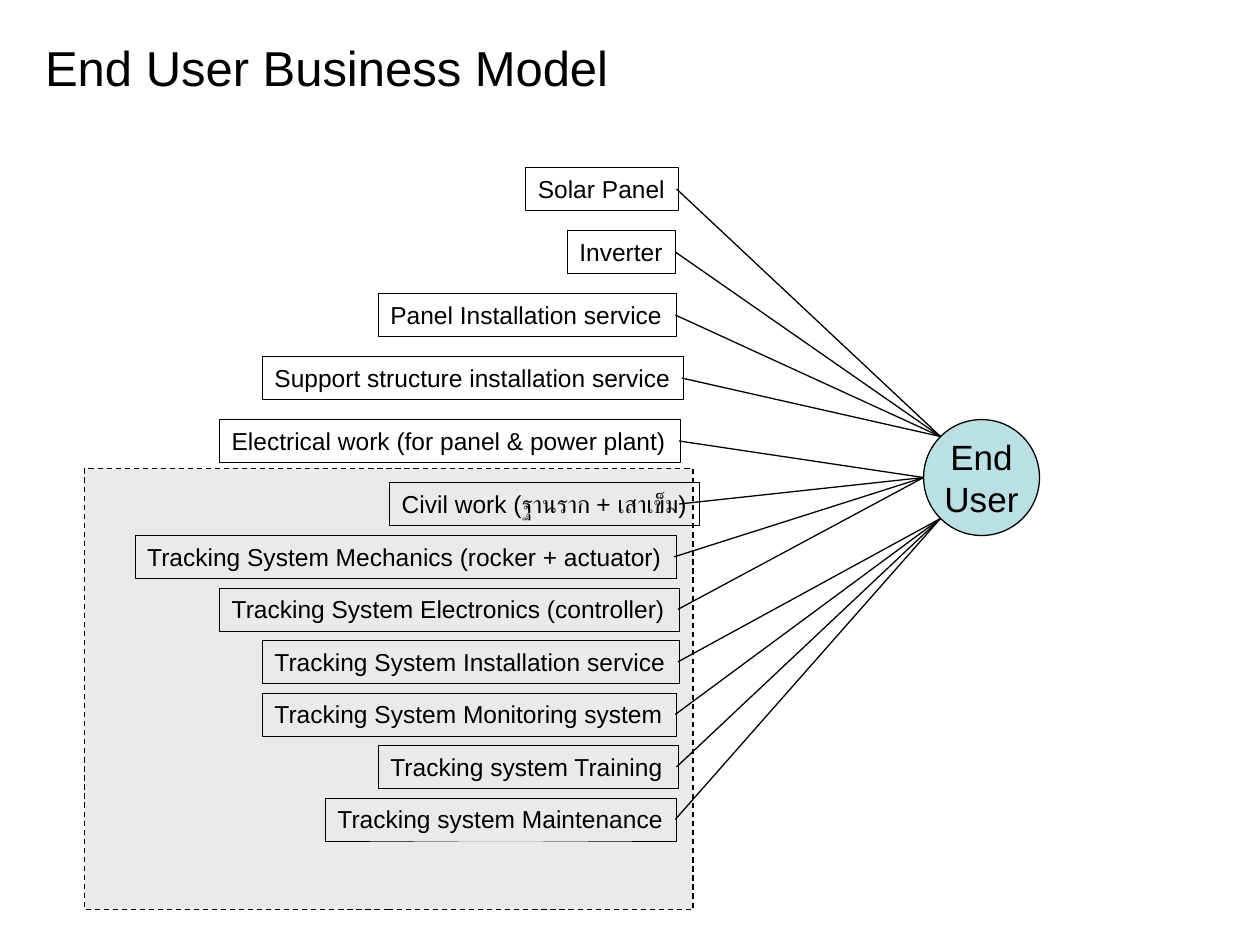
import math

import pptx
import pptx.dml.color
import pptx.enum.dml
import pptx.enum.shapes
import pptx.enum.text
import pptx.oxml.ns
import pptx.util
from lxml import etree
from pptx.util import Inches

COLORS = {"ink": "000000", "customer": "BBE0E3", "tracking": "EAEAEA"}
FONT = "Arial"
BOX_HEIGHT = 0.34
CIRCLE_BOX = (7.33, 3.33, 0.92, 0.92)

SUPPLIES = [
    ("Solar Panel", 4.17, 1.21, 5.37, "upper"),
    ("Inverter", 4.5, 0.86, 5.36, "upper"),
    ("Panel Installation service", 3, 2.37, 5.36, "upper"),
    ("Support structure installation service", 2.08, 3.34, 5.41, "upper"),
    ("Electrical work (for panel & power plant)", 1.74, 3.66, 5.39, "middle"),
    ("Civil work (ฐานราก + เสาเข็ม)", 3.09, 2.46, 5.39, "middle"),
]
TRACKING = [
    ("Tracking System Mechanics (rocker + actuator)", 1.07, 4.3, 5.35, "middle"),
    ("Tracking System Electronics (controller)", 1.74, 3.65, 5.38, "middle"),
    ("Tracking System Installation service", 2.08, 3.31, 5.38, "lower"),
    ("Tracking System Monitoring system", 2.08, 3.29, 5.36, "lower"),
    ("Tracking system Training", 3, 2.38, 5.37, "lower"),
    ("Tracking system Maintenance", 2.58, 2.79, 5.36, "lower"),
]


def color(name):
    return pptx.dml.color.RGBColor.from_string(COLORS[name])


def write_text(shape, lines, size, alignment, anchor, grow):
    frame = shape.text_frame
    frame.word_wrap = False
    frame.vertical_anchor = anchor
    if grow:
        frame.auto_size = pptx.enum.text.MSO_AUTO_SIZE.SHAPE_TO_FIT_TEXT
    paragraph = frame.paragraphs[0]
    paragraph.alignment = alignment
    for index, line in enumerate(lines):
        if index:
            paragraph.add_line_break()
        run = paragraph.add_run()
        run.text = line
        run.font.name = FONT
        run.font.size = pptx.util.Pt(size)
        run.font.color.rgb = color("ink")


def add_outlined(slide, kind, box, fill, width):
    shape = slide.shapes.add_shape(kind, *map(Inches, box))
    shape.shadow.inherit = False
    if fill:
        shape.fill.solid()
        shape.fill.fore_color.rgb = color(fill)
    else:
        shape.fill.background()
    shape.line.color.rgb = color("ink")
    shape.line.width = pptx.util.Pt(width)
    return shape


def add_title(slide, box):
    shape = slide.shapes.add_textbox(*map(Inches, box))
    write_text(shape, ["End User Business Model"], 28,
               pptx.enum.text.PP_ALIGN.LEFT, pptx.enum.text.MSO_ANCHOR.TOP, True)


def add_tracking_area(slide, box):
    area = add_outlined(slide, pptx.enum.shapes.MSO_SHAPE.RECTANGLE, box, "tracking", 0.75)
    area.line.dash_style = pptx.enum.dml.MSO_LINE.DASH


def add_customer(slide, box):
    circle = add_outlined(slide, pptx.enum.shapes.MSO_SHAPE.OVAL, box, "customer", 0.75)
    write_text(circle, ["End", "User"], 20, pptx.enum.text.PP_ALIGN.CENTER,
               pptx.enum.text.MSO_ANCHOR.MIDDLE, False)


def customer_targets(box):
    left, top, width, height = box
    center_x, center_y = left + width / 2, top + height / 2
    offset = width / 2 * math.sqrt(0.5)
    return {
        "upper": (center_x - offset, center_y - offset),
        "middle": (left, center_y),
        "lower": (center_x - offset, center_y + offset),
    }


def add_line(slide, start, end):
    line = slide.shapes.add_connector(
        pptx.enum.shapes.MSO_CONNECTOR.STRAIGHT, *map(Inches, (*start, *end)))
    line.line.color.rgb = color("ink")
    line.line.width = pptx.util.Pt(0.75)
    properties = line._element.spPr
    etree.SubElement(properties, pptx.oxml.ns.qn("a:effectLst"))


def add_services(slide, services, top, pitch, targets):
    for row, (label, left, width, line_start, target) in enumerate(services):
        row_top = top + row * pitch
        box = (left, row_top, width, BOX_HEIGHT)
        shape = add_outlined(slide, pptx.enum.shapes.MSO_SHAPE.RECTANGLE, box, None, 0.25)
        write_text(shape, [label], 14, pptx.enum.text.PP_ALIGN.LEFT,
                   pptx.enum.text.MSO_ANCHOR.TOP, True)
        add_line(slide, (line_start, row_top + BOX_HEIGHT / 2), targets[target])


def main():
    presentation = pptx.Presentation()
    presentation.slide_width = Inches(10)
    presentation.slide_height = Inches(7.5)
    slide = presentation.slides.add_slide(presentation.slide_layouts[6])
    add_tracking_area(slide, (0.67, 3.72, 4.83, 3.5))
    add_title(slide, (0.26, 0.25, 4.67, 0.57))
    add_customer(slide, CIRCLE_BOX)
    targets = customer_targets(CIRCLE_BOX)
    add_services(slide, SUPPLIES, 1.33, 0.5, targets)
    add_services(slide, TRACKING, 4.25, 5 / 12, targets)
    presentation.save("out.pptx")


if __name__ == "__main__":
    main()
